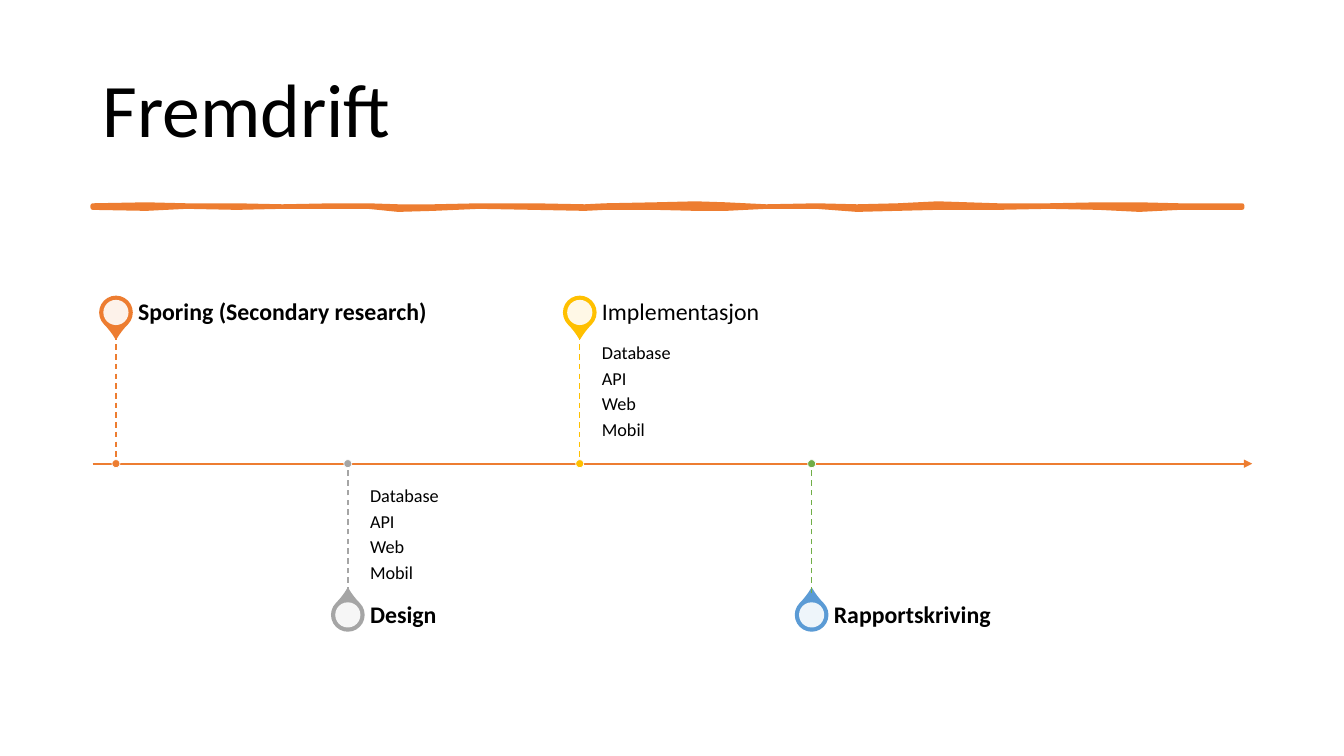
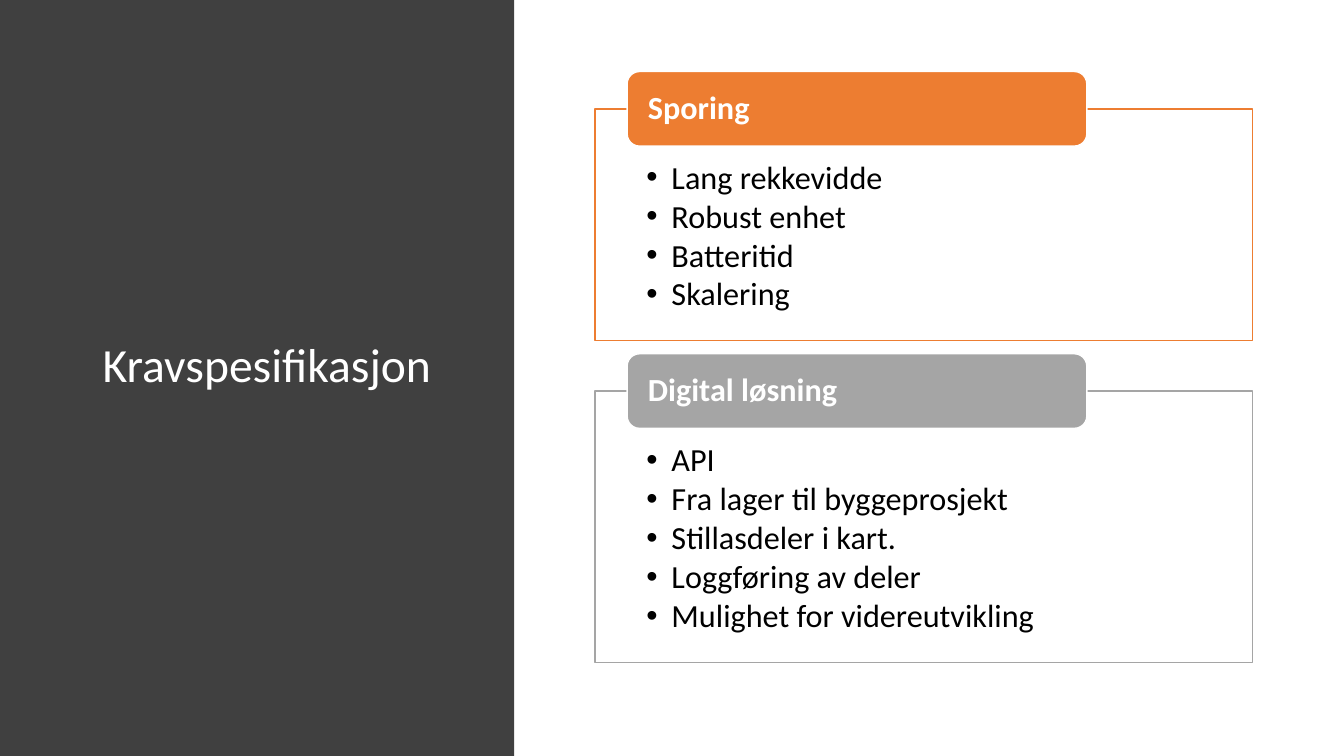
from lxml import etree
from pptx import Presentation
from pptx import util as u
from pptx.dml.color import RGBColor
from pptx.enum import dml, shapes, text
from pptx.oxml.ns import qn

WIDE, HIGH = 13.33, 7.5
LEFT, RIGHT = 0.92, 12.42
FONT = "Calibri"
BLACK, WHITE, DARK = "000000", "FFFFFF", "404040"
ORANGE, GREY, GOLD, BLUE, GREEN = "ED7D31", "A5A5A5", "FFC000", "5B9BD5", "70AD47"
AXIS, REACH, STEM = 4.6, 1.5, 1.28
FIRST, STEP = 1.15, 2.3
PARTS = ["Database", "API", "Web", "Mobil"]
STEPS = [
    ("Sporing (Secondary research)", True, [], ORANGE, ORANGE),
    ("Design", True, PARTS, GREY, GREY),
    ("Implementasjon", False, PARTS, GOLD, GOLD),
    ("Rapportskriving", True, [], BLUE, GREEN),
]
PANELS = [
    ("Sporing", ORANGE, 2.3,
     ["Lang rekkevidde", "Robust enhet", "Batteritid", "Skalering"]),
    ("Digital løsning", GREY, 2.69,
     ["API", "Fra lager til byggeprosjekt", "Stillasdeler i kart.",
      "Loggføring av deler", "Mulighet for videreutvikling"]),
]
BRUSH = [
    (0.92, 2.04, 2.06), (1.45, 2.03, 2.07), (1.85, 2.04, 2.05),
    (2.35, 2.04, 2.06), (2.8, 2.05, 2.05), (3.3, 2.04, 2.05),
    (3.65, 2.04, 2.05), (3.95, 2.05, 2.08), (4.3, 2.05, 2.07),
    (4.75, 2.04, 2.05), (5.3, 2.04, 2.06), (5.8, 2.05, 2.07),
    (6.0, 2.04, 2.06), (6.5, 2.03, 2.06), (6.9, 2.02, 2.07),
    (7.2, 2.03, 2.07), (7.6, 2.05, 2.05), (8.1, 2.04, 2.05),
    (8.5, 2.05, 2.08), (8.9, 2.04, 2.07), (9.3, 2.02, 2.06),
    (9.9, 2.04, 2.06), (10.4, 2.04, 2.05), (10.9, 2.03, 2.06),
    (11.3, 2.03, 2.08), (11.7, 2.04, 2.06), (12.32, 2.04, 2.06),
]


def tint(hue):
    """Turn a hex string into a colour."""
    return RGBColor.from_string(hue)


def paint(item, fill, line=None, width=1, alpha=None):
    """Set the fill and outline of a shape and drop its shadow."""
    item.shadow.inherit = False
    item.fill.solid()
    item.fill.fore_color.rgb = tint(fill)
    if alpha:
        node = item.fill._xPr.find(".//" + qn("a:srgbClr"))
        etree.SubElement(node, qn("a:alpha")).set("val", str(alpha * 1000))
    if line:
        item.line.color.rgb = tint(line)
        item.line.width = u.Pt(width)
    else:
        item.line.fill.background()


def form(slide, kind, box, fill, line=None, width=1, alpha=None):
    """Add a preset shape."""
    item = slide.shapes.add_shape(kind, *map(u.Inches, box))
    paint(item, fill, line, width, alpha)
    return item


def disc(slide, x, y, size, fill, line=None, width=1, alpha=None):
    """Add a circle around a centre."""
    box = (x - size / 2, y - size / 2, size, size)
    form(slide, shapes.MSO_SHAPE.OVAL, box, fill, line, width, alpha)


def bullet(para):
    """Give a paragraph a hanging bullet."""
    props = para._p.get_or_add_pPr()
    props.set("marL", str(u.Inches(0.25)))
    props.set("indent", str(-u.Inches(0.25)))
    etree.SubElement(props, qn("a:buFont")).set("typeface", "Arial")
    etree.SubElement(props, qn("a:buChar")).set("char", "•")


def write(item, lines, size, hue=BLACK, bold=False, after=0,
          inset=(0.1, 0.05, 0.1, 0.05), anchor="MIDDLE", dots=False):
    """Write left-aligned paragraphs into a shape."""
    frame = item.text_frame
    frame.word_wrap = True
    frame.vertical_anchor = text.MSO_ANCHOR[anchor]
    (frame.margin_left, frame.margin_top,
     frame.margin_right, frame.margin_bottom) = map(u.Inches, inset)
    for spot, line in enumerate(lines):
        para = frame.add_paragraph() if spot else frame.paragraphs[0]
        para.text = line
        para.alignment = text.PP_ALIGN.LEFT
        para.line_spacing = 0.9
        para.space_after = u.Pt(after)
        para.font.name, para.font.size = FONT, u.Pt(size)
        para.font.bold, para.font.color.rgb = bold, tint(hue)
        if dots:
            bullet(para)


def label(slide, box, lines, size, **style):
    """Add a text box."""
    write(slide.shapes.add_textbox(*map(u.Inches, box)), lines, size, **style)


def rule(slide, start, end, hue, width, dash=False, arrow=False):
    """Add a straight line, dashed or with an arrowhead on request."""
    item = slide.shapes.add_connector(
        shapes.MSO_CONNECTOR.STRAIGHT, *map(u.Inches, start + end))
    item.line.color.rgb = tint(hue)
    item.line.width = u.Pt(width)
    if dash:
        item.line.dash_style = dml.MSO_LINE.DASH
    if arrow:
        tail = etree.SubElement(item.line._get_or_add_ln(), qn("a:tailEnd"))
        tail.set("type", "triangle")
    etree.SubElement(item._element.spPr, qn("a:effectLst"))


def brush(slide):
    """Draw the uneven stroke under the title."""
    top = [(x, y) for x, y, _ in BRUSH]
    low = [(x, y) for x, _, y in reversed(BRUSH)]
    spots = [(u.Inches(x), u.Inches(y)) for x, y in top + low]
    pen = slide.shapes.build_freeform(*spots[0])
    pen.add_line_segments(spots[1:], close=True)
    paint(pen.convert_to_shape(), ORANGE, ORANGE, 3.25)


def stage(slide, x, up, name, bold, notes, hue, stem):
    """Add one step above or below the time axis."""
    side = -1 if up else 1
    mid, tip = AXIS + side * REACH, AXIS + side * STEM
    pin = form(slide, shapes.MSO_SHAPE.TEAR,
               (x - 0.16, mid - 0.16, 0.32, 0.32), hue, hue)
    pin.adjustments[0] = 1.15
    pin.rotation = 135 if up else 315
    disc(slide, x, mid, 0.25, WHITE, alpha=90)
    if notes:
        inset = (0, 0.09, 0.09, 0.14) if up else (0, 0.14, 0, 0.09)
        label(slide, (x + 0.22, min(AXIS, tip), 3.82, STEM), notes, 13,
              after=4.3, inset=inset, anchor="TOP" if up else "BOTTOM")
    label(slide, (x + 0.22, mid - 0.22, 3.82, 0.45), [name], 17,
          bold=bold, inset=(0, 0, 0.12, 0))
    rule(slide, (x, tip), (x, AXIS), stem, 1, dash=True)
    disc(slide, x, AXIS, 0.08, stem, WHITE, 0.5)


def panel(slide, top, name, hue, tall, items):
    """Add a framed list with a heading tab on its upper edge."""
    frame = form(slide, shapes.MSO_SHAPE.RECTANGLE,
                 (5.9, top, RIGHT - 5.9, tall), WHITE, hue, alpha=90)
    write(frame, items, 23, after=3, inset=(0.51, 0.52, 0.51, 0.18),
          anchor="TOP", dots=True)
    tab = form(slide, shapes.MSO_SHAPE.ROUNDED_RECTANGLE,
               (6.22, top - 0.37, 4.56, 0.74), hue, WHITE)
    write(tab, [name], 23, hue=WHITE, bold=True, inset=(0.17, 0, 0.17, 0))


def plan(slide):
    """Build the timeline slide."""
    label(slide, (LEFT, 0.4, 11.5, 1.45), ["Fremdrift"], 54)
    brush(slide)
    rule(slide, (LEFT, AXIS), (RIGHT, AXIS), ORANGE, 1.5, arrow=True)
    for spot, step in enumerate(STEPS):
        stage(slide, FIRST + spot * STEP, spot % 2 == 0, *step)


def needs(slide):
    """Build the requirements slide."""
    form(slide, shapes.MSO_SHAPE.RECTANGLE, (0, 0, 5.1, HIGH), DARK)
    label(slide, (LEFT, 0.68, 3.67, 5.92), ["Kravspesifikasjon"], 34, hue=WHITE)
    top = 1.08
    for name, hue, tall, items in PANELS:
        panel(slide, top, name, hue, tall, items)
        top += tall + 0.5


def main():
    """Build and save the deck."""
    deck = Presentation()
    deck.slide_width, deck.slide_height = u.Inches(WIDE), u.Inches(HIGH)
    for build in (plan, needs):
        build(deck.slides.add_slide(deck.slide_layouts[6]))
    deck.save("out.pptx")


if __name__ == "__main__":
    main()
